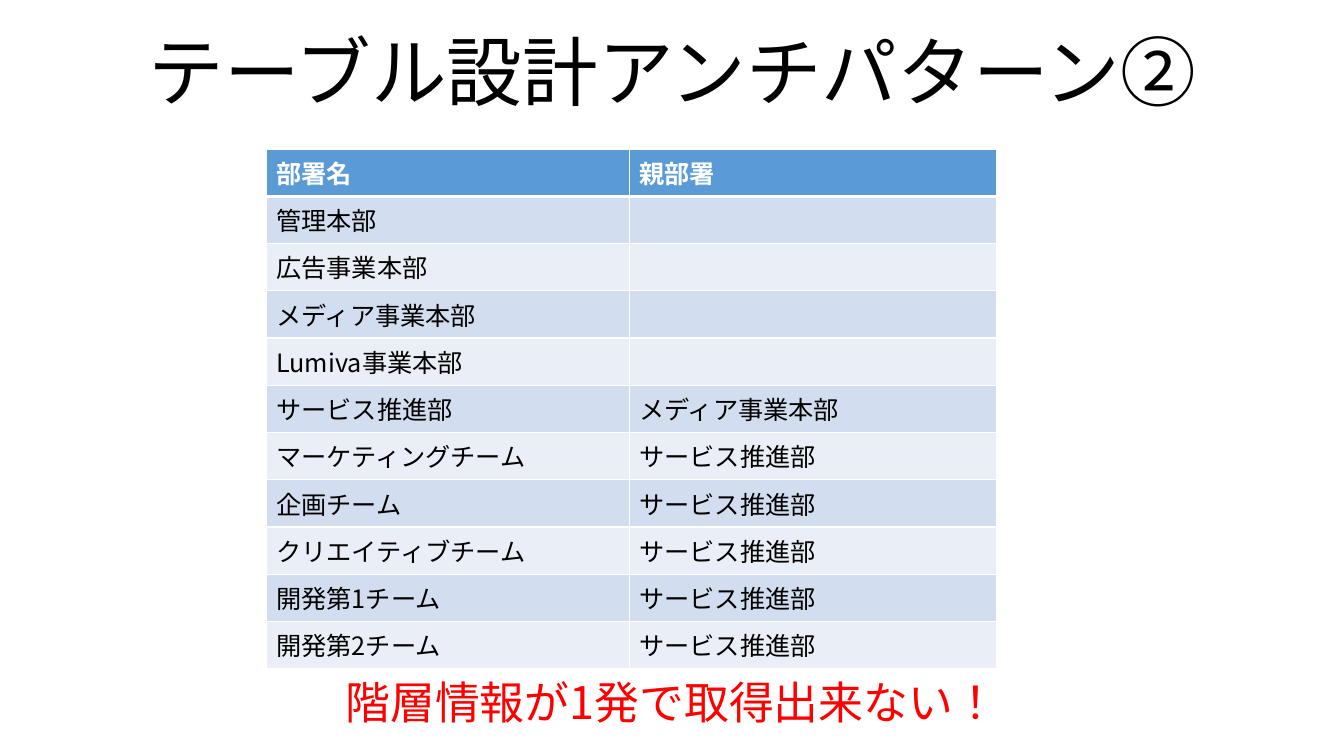
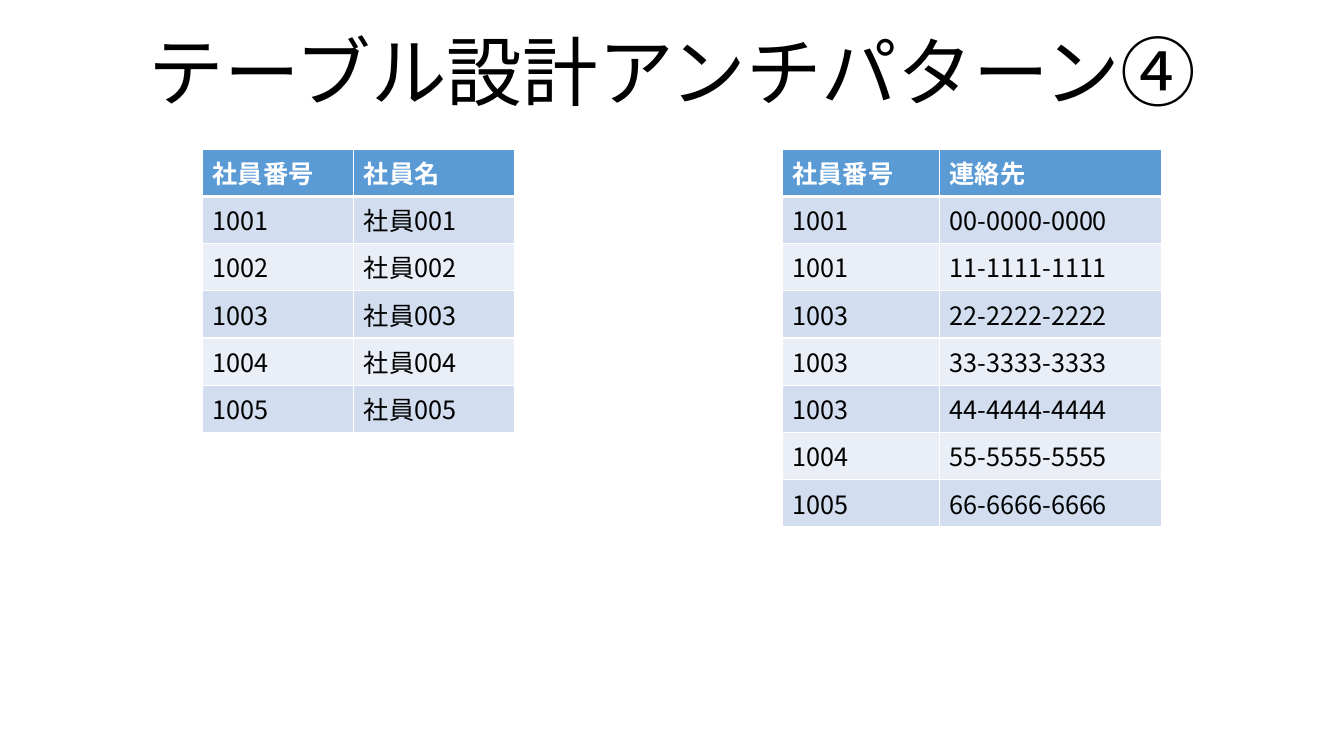
from lxml import etree
from pptx import Presentation
from pptx import util as u
from pptx.dml.color import RGBColor
from pptx.enum import lang, text
from pptx.oxml import ns

FONT = "Noto Sans CJK JP"
WHITE = RGBColor(0xFF, 0xFF, 0xFF)
BLACK = RGBColor(0, 0, 0)
RED = RGBColor(0xFF, 0, 0)
HEADER = RGBColor(0x5B, 0x9B, 0xD5)
BANDS = (RGBColor(0xD2, 0xDE, 0xEF), RGBColor(0xEA, 0xEF, 0xF7))

SLIDE_WIDTH, SLIDE_HEIGHT = u.Inches(13.33), u.Inches(7.5)
TITLE_BOX = [u.Inches(n) for n in (0.92, 0.03, 11.5, 1.45)]
TABLE_TOP = u.Inches(1.48)
ROW_HEIGHT = u.Inches(3.75) // 8


def write(frame, words, size, color, bold=False):
    """Put one styled paragraph in a text frame and return it."""
    frame.text = words
    paragraph = frame.paragraphs[0]
    for run in paragraph.runs:
        run.font.size = u.Pt(size)
        run.font.name = FONT
        run.font.bold = bold
        run.font.color.rgb = color
        run.font.language_id = lang.MSO_LANGUAGE_ID.JAPANESE
        latin = run.font._element.find(ns.qn("a:latin"))
        east_asian = etree.Element(ns.qn("a:ea"), typeface=FONT)
        latin.addnext(east_asian)
    return paragraph


def set_borders(cell, bottom):
    """Draw white cell borders, 1 pt except for the bottom one."""
    properties = cell._tc.get_or_add_tcPr()
    widths = {"lnL": 1, "lnR": 1, "lnT": 1, "lnB": bottom}
    for position, (side, width) in enumerate(widths.items()):
        line = etree.Element(ns.qn("a:" + side), w=str(u.Pt(width)))
        fill = etree.SubElement(line, ns.qn("a:solidFill"))
        etree.SubElement(fill, ns.qn("a:srgbClr"), val=str(WHITE))
        properties.insert(position, line)


def add_titled_slide(deck, heading):
    """Add a title-only slide with the shared heading style."""
    slide = deck.slides.add_slide(deck.slide_layouts[5])
    title = slide.shapes.title
    title.left, title.top, title.width, title.height = TITLE_BOX
    frame = title.text_frame
    paragraph = write(frame, heading, 54, BLACK)
    paragraph.alignment = text.PP_ALIGN.CENTER
    paragraph.line_spacing = 0.9
    frame.vertical_anchor = text.MSO_ANCHOR.MIDDLE
    frame.auto_size = text.MSO_AUTO_SIZE.NONE
    return slide


def add_banded_table(slide, left, widths, records):
    """Add a banded table whose first record is the header."""
    table = slide.shapes.add_table(
        len(records), len(widths), u.Inches(left), TABLE_TOP,
        u.Inches(sum(widths)), ROW_HEIGHT * len(records)).table
    for column, width in zip(table.columns, widths):
        column.width = u.Inches(width)
    for index, record in enumerate(records):
        is_header = index == 0
        table.rows[index].height = ROW_HEIGHT
        for cell, words in zip(table.rows[index].cells, record):
            write(cell.text_frame, words, 18,
                  WHITE if is_header else BLACK, is_header)
            cell.fill.solid()
            cell.fill.fore_color.rgb = HEADER if is_header else BANDS[(index - 1) % 2]
            set_borders(cell, 3 if is_header else 1)


def add_conclusion(slide, top, words):
    """Add a centred red statement across the slide."""
    conclusion = slide.shapes.add_textbox(0, u.Inches(top), SLIDE_WIDTH, u.Inches(0.64))
    frame = conclusion.text_frame
    frame.word_wrap = True
    frame.auto_size = text.MSO_AUTO_SIZE.SHAPE_TO_FIT_TEXT
    write(frame, words, 32, RED).alignment = text.PP_ALIGN.CENTER


def build_department_slide(deck):
    """Show departments that only refer to their parent."""
    slide = add_titled_slide(deck, "テーブル設計アンチパターン②")
    media, service = "メディア事業本部", "サービス推進部"
    headquarters = ("管理本部", "広告事業本部", media, "Lumiva事業本部")
    teams = ("マーケティングチーム", "企画チーム", "クリエイティブチーム",
             "開発第1チーム", "開発第2チーム")
    departments = [("部署名", "親部署")]
    departments += [(name, "") for name in headquarters]
    departments += [(service, media)]
    departments += [(team, service) for team in teams]
    add_banded_table(slide, 2.64, (3.6, 3.64), departments)
    add_conclusion(slide, 6.64, "階層情報が1発で取得出来ない！")


def build_employee_slide(deck):
    """Show employees beside their contact numbers."""
    slide = add_titled_slide(deck, "テーブル設計アンチパターン④")
    employees = [("社員番号", "社員名")]
    employees += [(f"1{n:03}", f"社員{n:03}") for n in range(1, 6)]
    owners = (1001, 1001, 1003, 1003, 1003, 1004, 1005)
    contacts = [("社員番号", "連絡先")]
    contacts += [(str(owner), f"{d * 2}-{d * 4}-{d * 4}")
                 for owner, d in zip(owners, "0123456")]
    add_banded_table(slide, 2.01, (1.5, 1.59), employees)
    add_banded_table(slide, 7.76, (1.56, 2.2), contacts)


deck = Presentation()
deck.slide_width, deck.slide_height = SLIDE_WIDTH, SLIDE_HEIGHT
build_department_slide(deck)
build_employee_slide(deck)
deck.save("out.pptx")
